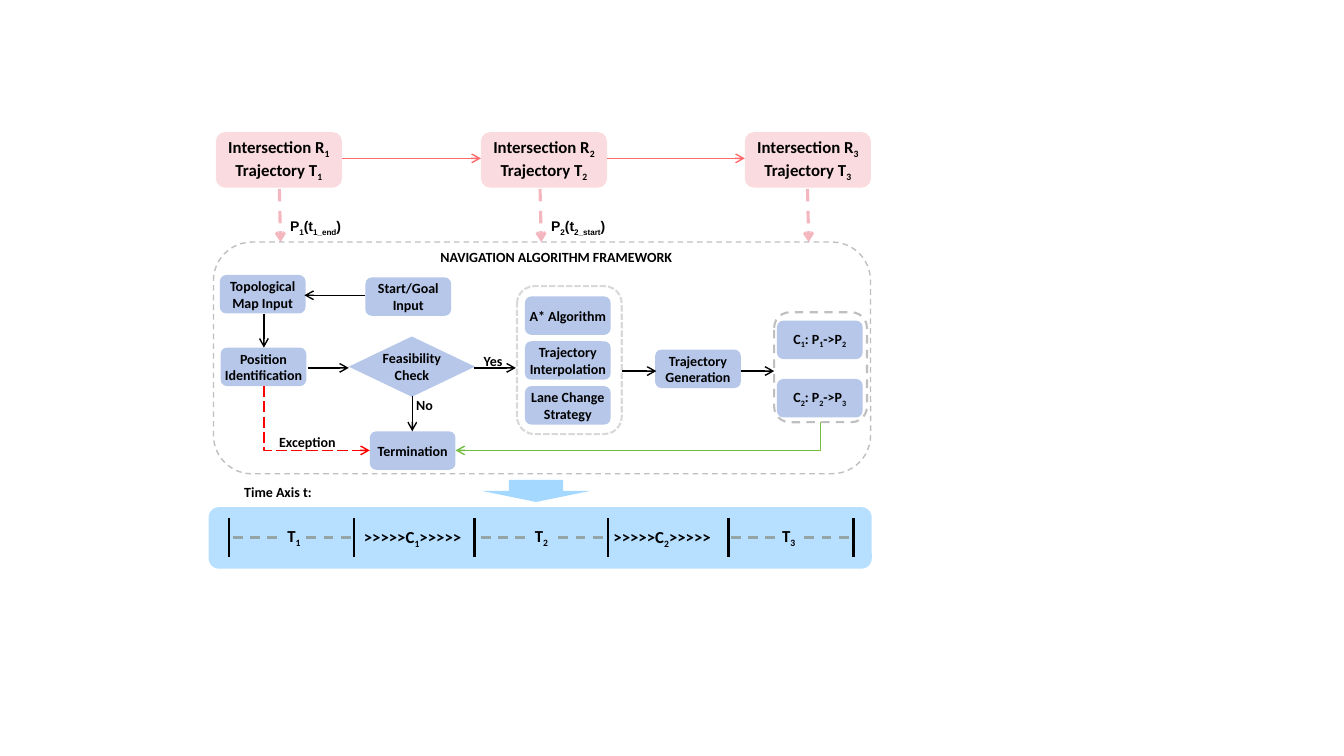
from lxml.etree import SubElement
from pptx import Presentation
from pptx.dml.color import RGBColor
from pptx.enum.dml import MSO_LINE as Dash
from pptx.enum.shapes import MSO_CONNECTOR as Connector, MSO_SHAPE as Shape
from pptx.enum.text import MSO_ANCHOR as Anchor, PP_ALIGN as Align
from pptx.oxml.ns import qn
from pptx.util import Cm, Pt

BLACK = RGBColor(0x00, 0x00, 0x00)
PINK = RGBColor(0xFA, 0xDB, 0xDF)
ROSE = RGBColor(0xF5, 0xB7, 0xBF)
CORAL = RGBColor(0xFF, 0x6B, 0x6B)
RED = RGBColor(0xFF, 0x00, 0x00)
GREEN = RGBColor(0x75, 0xBD, 0x42)
PERIWINKLE = RGBColor(0xB6, 0xC7, 0xEA)
SKY = RGBColor(0xA5, 0xD8, 0xFF)
SLATE = RGBColor(0x95, 0xA5, 0xA6)
GREY = RGBColor(0xBF, 0xBF, 0xBF)
LIGHT_GREY = RGBColor(0xD9, 0xD9, 0xD9)


class Diagram:
    """Draws on one slide; all lengths are in centimetres."""

    font = "Calibri"

    def __init__(self, slide):
        self.slide = slide

    def fill_text(self, text_frame, text, size, font=None, align=Align.CENTER):
        """Lines are split at newlines; every second part between bars is a subscript."""
        text_frame.word_wrap = True
        for index, line in enumerate(text.split("\n")):
            paragraph = text_frame.paragraphs[0] if index == 0 else text_frame.add_paragraph()
            paragraph.alignment = align
            for position, part in enumerate(line.split("|")):
                if not part:
                    continue
                run = paragraph.add_run()
                run.text = part
                run.font.name = font or self.font
                run.font.size = Pt(size)
                run.font.bold = True
                run.font.color.rgb = BLACK
                if position % 2:
                    run._r.get_or_add_rPr().set("baseline", "-25000")

    def label(self, text, left, top, width, height=0.69, size=10, font=None, align=Align.CENTER):
        box = self.slide.shapes.add_textbox(Cm(left), Cm(top), Cm(width), Cm(height))
        self.fill_text(box.text_frame, text, size, font, align)

    def block(self, kind, left, top, width, height, color, text="", size=10, opacity=100):
        shape = self.slide.shapes.add_shape(kind, Cm(left), Cm(top), Cm(width), Cm(height))
        shape.shadow.inherit = False
        shape.fill.solid()
        shape.fill.fore_color.rgb = color
        shape.line.fill.background()
        if opacity < 100:
            tint = shape._element.spPr.find(f".//{qn('a:srgbClr')}")
            SubElement(tint, qn("a:alpha"), val=str(opacity * 1000))
        if text:
            frame = shape.text_frame
            frame.margin_left = frame.margin_right = frame.margin_top = frame.margin_bottom = 0
            frame.vertical_anchor = Anchor.MIDDLE
            self.fill_text(frame, text, size)

    def frame(self, left, top, width, height, color, weight, dash):
        shape = self.slide.shapes.add_shape(
            Shape.ROUNDED_RECTANGLE, Cm(left), Cm(top), Cm(width), Cm(height))
        shape.shadow.inherit = False
        shape.fill.background()
        shape.line.color.rgb = color
        shape.line.width = Pt(weight)
        shape.line.dash_style = dash

    def line(self, start, end, color=BLACK, weight=1.0, dash=None, arrow=False,
             kind=Connector.STRAIGHT):
        connector = self.slide.shapes.add_connector(kind, *map(Cm, start + end))
        connector.line.color.rgb = color
        connector.line.width = Pt(weight)
        if dash:
            connector.line.dash_style = dash
        if arrow:
            SubElement(connector.line._get_or_add_ln(), qn("a:tailEnd"), type="arrow")
        SubElement(connector._element.spPr, qn("a:effectLst"))
        return connector

    def corner_arrow(self, start, end, color, dash=None):
        """Goes down, then sideways: a single bend turned by a quarter."""
        (x1, y1), (x2, y2) = start, end
        middle_x, middle_y = (x1 + x2) / 2, (y1 + y2) / 2
        run, drop = (x2 - x1) / 2, (y2 - y1) / 2
        connector = self.line((middle_x - drop, middle_y + run), (middle_x + drop, middle_y - run),
                              color, dash=dash, arrow=True, kind=Connector.ELBOW)
        properties = connector._element.spPr
        properties.find(qn("a:xfrm")).set("rot", "5400000")
        properties.find(qn("a:prstGeom")).set("prst", "bentConnector2")


def draw_intersections(diagram):
    lefts, width = (5.44, 12.12, 18.77), 3.18
    for number, left in enumerate(lefts, 1):
        diagram.block(Shape.ROUNDED_RECTANGLE, left, 3.33, width, 1.4, PINK,
                      f"Intersection R|{number}|\nTrajectory T|{number}|", size=12)
    for left, following in zip(lefts, lefts[1:]):
        diagram.line((left + width, 3.99), (following, 3.99), CORAL, arrow=True)
    for x in (7.04, 13.61, 20.35):
        diagram.line((x, 4.76), (x + 0.03, 6.1), ROSE, 2.25, Dash.DASH, arrow=True)
    for text, left in (("P|1|(t|1_end|)", 7.06), ("P|2|(t|2_start|)", 13.64)):
        diagram.label(text, left, 5.36, 2.36, font="Arial", align=Align.LEFT)


def draw_framework(diagram):
    # Dashed frames
    diagram.frame(5.38, 6.1, 16.56, 5.84, GREY, 1, Dash.DASH)
    diagram.frame(13.03, 7.21, 2.64, 3.73, LIGHT_GREY, 1.5, Dash.SQUARE_DOT)
    diagram.frame(19.51, 7.87, 2.34, 2.77, GREY, 1.5, Dash.DASH)
    diagram.label("NAVIGATION ALGORITHM FRAMEWORK", 10.18, 6.13, 7.67)

    # Steps
    steps = [
        ("Topological Map Input", 5.54, 6.93),
        ("Start/Goal Input", 9.21, 6.99),
        ("Position Identification", 5.56, 8.76),
        ("Termination", 9.32, 10.87),
        ("Trajectory Generation", 16.51, 8.81),
        ("C|1|: P|1|->P|2|", 19.58, 8.08),
        ("C|2|: P|2|->P|3|", 19.58, 9.55),
    ]
    strategies = ("A* Algorithm", "Trajectory Interpolation", "Lane Change Strategy")
    steps += [(text, 13.23, 7.47 + 1.13 * row) for row, text in enumerate(strategies)]
    for text, left, top in steps:
        diagram.block(Shape.ROUNDED_RECTANGLE, left, top, 2.16, 0.97, PERIWINKLE, text)
    diagram.block(Shape.FLOWCHART_DECISION, 8.79, 8.48, 3.18, 1.52, PERIWINKLE,
                  "Feasibility Check")

    # Flow
    flow = [
        ((9.19, 7.44), (7.67, 7.44)),
        ((6.65, 7.9), (6.65, 8.76)),
        ((7.75, 9.27), (8.79, 9.27)),
        ((11.94, 9.27), (13.0, 9.27)),
        ((10.39, 9.98), (10.39, 10.87)),
        ((15.67, 9.35), (16.54, 9.35)),
        ((18.67, 9.35), (19.51, 9.35)),
    ]
    for start, end in flow:
        diagram.line(start, end, arrow=True)
    diagram.corner_arrow((6.65, 9.73), (9.32, 11.35), RED, Dash.LONG_DASH)
    diagram.corner_arrow((20.68, 10.64), (11.48, 11.35), GREEN)
    for text, left, top, width in (("Yes", 11.84, 8.76, 1.17), ("No", 10.19, 9.86, 1.02),
                                   ("Exception", 6.68, 10.8, 2.13)):
        diagram.label(text, left, top, width)


def draw_time_axis(diagram):
    diagram.block(Shape.DOWN_ARROW, 12.14, 12.09, 2.74, 0.56, SKY)
    diagram.label("Time Axis t:", 5.24, 12.07, 3.53)
    diagram.block(Shape.ROUNDED_RECTANGLE, 5.26, 12.78, 16.71, 1.55, SKY, opacity=80)

    # Stretches: left tick, first dash, label, second dash, right tick
    stretches = [
        (5.77, 5.87, 6.99, 7.72, 8.92),
        (11.96, 12.12, 13.23, 14.07, 15.32),
        (18.36, 18.42, 19.46, 20.27, 21.51),
    ]
    for number, (left, dash_1, text_left, dash_2, right) in enumerate(stretches, 1):
        for x in (left, right):
            diagram.line((x, 13.06), (x, 14.03), weight=1.75)
        for x in (dash_1, dash_2):
            diagram.line((x, 13.54), (x + 1.14, 13.54), SLATE, 1.75, Dash.DASH)
        diagram.label(f"T|{number}|", text_left, 13.13, 1.3, 0.76, 12, align=Align.LEFT)
    for number, left in enumerate((8.92, 15.21), 1):
        diagram.label(f">>>>>C|{number}|>>>>>", left, 13.14, 3.18, 0.76, 12, align=Align.LEFT)


def main():
    presentation = Presentation()
    presentation.slide_width, presentation.slide_height = Cm(33.87), Cm(19.05)
    diagram = Diagram(presentation.slides.add_slide(presentation.slide_layouts[6]))
    draw_intersections(diagram)
    draw_framework(diagram)
    draw_time_axis(diagram)
    presentation.save("out.pptx")


if __name__ == "__main__":
    main()
